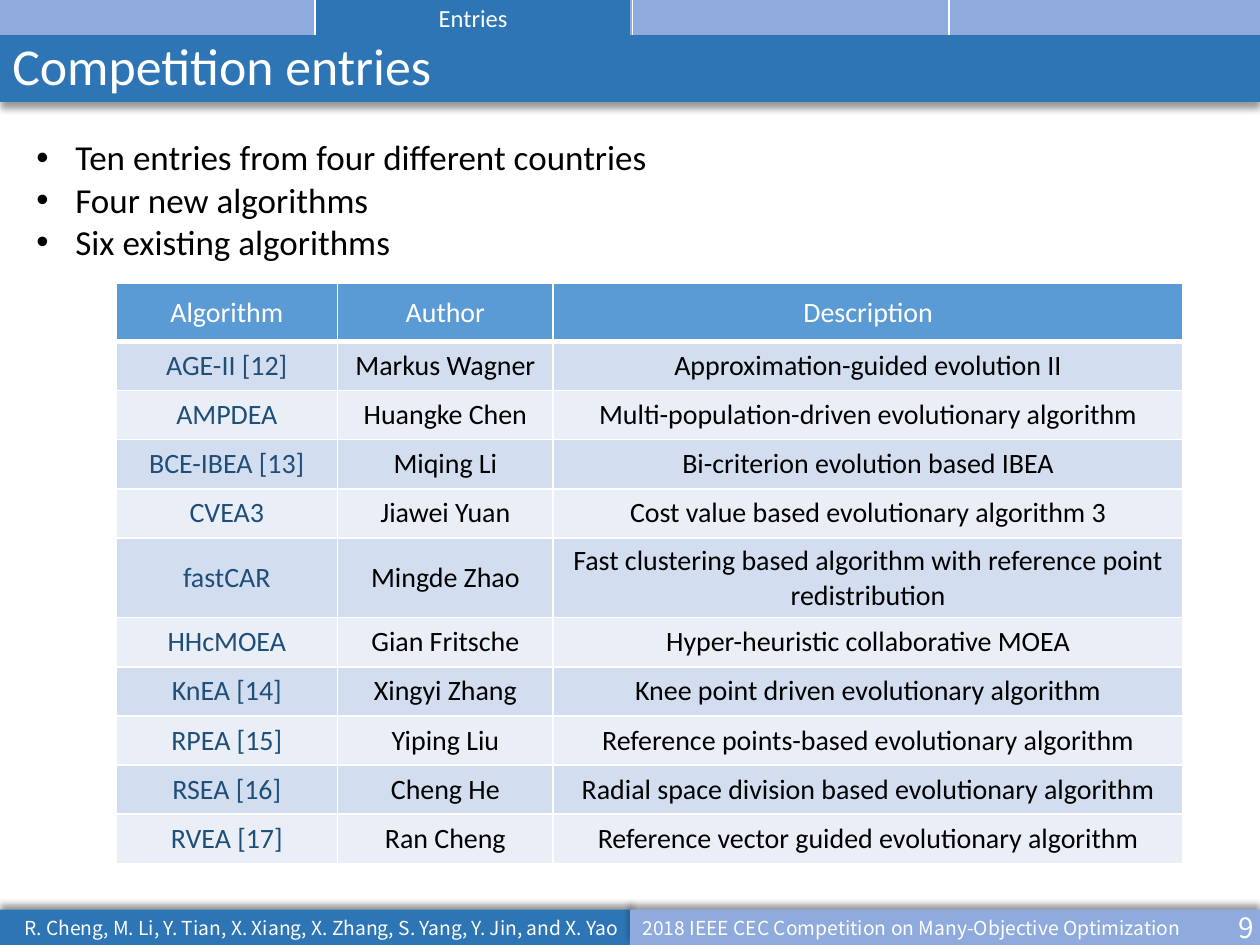
from dataclasses import dataclass

from lxml.etree import SubElement
from pptx import Presentation
from pptx.dml.color import RGBColor
from pptx.enum.shapes import MSO_CONNECTOR as Connector, MSO_SHAPE as Shape
from pptx.enum.text import MSO_ANCHOR as Anchor, PP_ALIGN as Align
from pptx.oxml.ns import qn
from pptx.util import Inches, Pt


@dataclass(frozen=True)
class Theme:
    white: str = "FFFFFF"
    black: str = "000000"
    dark_blue: str = "2E75B6"
    light_blue: str = "8FAADC"
    header_blue: str = "5B9BD5"
    algorithm_blue: str = "1F4E79"
    bands: tuple = ("D2DEEF", "EAEFF7")
    body_font: str = "Calibri"
    footer_font: str = "Noto Sans CJK SC"
    title_size: float = 29.6
    bullet_size: int = 20
    table_size: int = 16
    tab_size: int = 14
    footer_size: int = 11
    page_size: int = 16


THEME = Theme()

# Content
TITLE = "Competition entries"
TAB = "Entries"
AUTHORS = "R. Cheng, M. Li, Y. Tian, X. Xiang, X. Zhang, S. Yang, Y. Jin, and X. Yao"
EVENT = "2018 IEEE CEC Competition on Many-Objective Optimization"
PAGE = "9"
BULLETS = [
    "Ten entries from four different countries",
    "Four new algorithms",
    "Six existing algorithms",
]
HEADINGS = ("Algorithm", "Author", "Description")
ENTRIES = [
    ("AGE-II [12]", "Markus Wagner", "Approximation-guided evolution II"),
    ("AMPDEA", "Huangke Chen", "Multi-population-driven evolutionary algorithm"),
    ("BCE-IBEA [13]", "Miqing Li", "Bi-criterion evolution based IBEA"),
    ("CVEA3", "Jiawei Yuan", "Cost value based evolutionary algorithm 3"),
    ("fastCAR", "Mingde Zhao",
     "Fast clustering based algorithm with reference point redistribution"),
    ("HHcMOEA", "Gian Fritsche", "Hyper-heuristic collaborative MOEA"),
    ("KnEA [14]", "Xingyi Zhang", "Knee point driven evolutionary algorithm"),
    ("RPEA [15]", "Yiping Liu", "Reference points-based evolutionary algorithm"),
    ("RSEA [16]", "Cheng He", "Radial space division based evolutionary algorithm"),
    ("RVEA [17]", "Ran Cheng", "Reference vector guided evolutionary algorithm"),
]

# Layout, in inches
WIDTH, HEIGHT = 10, 7.5
STRIP = 0.28
TITLE_HEIGHT = 0.53
FOOTER_TOP = HEIGHT - STRIP
TAB_DIVIDERS = (2.5, 5.02, 7.53)
COLUMNS = (1.76, 1.71, 5)
HEADING_ROW, ENTRY_ROW = 0.46, 0.39


def rgb(color):
    return RGBColor.from_string(color)


def write(paragraph, words, size, color, font=THEME.body_font, align=Align.LEFT):
    paragraph.alignment = align
    run = paragraph.add_run()
    run.text = words
    run.font.name, run.font.size, run.font.bold = font, Pt(size), False
    run.font.color.rgb = rgb(color)


def add_bar(slide, left, top, width, height, color, shadow_angle=None):
    bar = slide.shapes.add_shape(
        Shape.RECTANGLE, Inches(left), Inches(top), Inches(width), Inches(height))
    bar.shadow.inherit = False
    bar.fill.solid()
    bar.fill.fore_color.rgb = rgb(color)
    bar.line.fill.background()
    bar.text_frame.vertical_anchor = Anchor.MIDDLE
    if shadow_angle is not None:
        effects = bar._element.spPr.find(qn("a:effectLst"))
        shadow = SubElement(
            effects, qn("a:outerShdw"), blurRad=str(Pt(4)), dist=str(Pt(3)),
            dir=str(shadow_angle * 60000), algn="ctr", rotWithShape="0")
        shade = SubElement(shadow, qn("a:srgbClr"), val=THEME.black)
        SubElement(shade, qn("a:alpha"), val="40000")
    return bar.text_frame


def add_text(slide, left, top, width, height, anchor=Anchor.TOP):
    frame = slide.shapes.add_textbox(
        Inches(left), Inches(top), Inches(width), Inches(height)).text_frame
    frame.word_wrap = True
    frame.vertical_anchor = anchor
    return frame


def add_divider(slide, x):
    divider = slide.shapes.add_connector(
        Connector.STRAIGHT, Inches(x), Inches(STRIP), Inches(x), 0)
    divider.line.color.rgb = rgb(THEME.white)
    divider.line.width = Pt(1)
    SubElement(divider._element.spPr, qn("a:effectLst"))


def style_cell(cell, words, fill, color, borders):
    cell.vertical_anchor = Anchor.MIDDLE
    properties = cell._tc.get_or_add_tcPr()
    for side, points in borders.items():
        edge = SubElement(properties, qn(f"a:ln{side}"), w=str(Pt(points)))
        paint = SubElement(edge, qn("a:solidFill"))
        SubElement(paint, qn("a:srgbClr"), val=THEME.white)
    cell.fill.solid()
    cell.fill.fore_color.rgb = rgb(fill)
    write(cell.text_frame.paragraphs[0], words, THEME.table_size, color,
          align=Align.CENTER)


def add_entries(slide):
    table = slide.shapes.add_table(
        len(ENTRIES) + 1, len(COLUMNS), Inches(0.92), Inches(2.25),
        Inches(sum(COLUMNS)),
        Inches(HEADING_ROW + ENTRY_ROW * len(ENTRIES))).table
    for column, width in zip(table.columns, COLUMNS):
        column.width = Inches(width)
    for row in table.rows:
        row.height = Inches(ENTRY_ROW)
    table.rows[0].height = Inches(HEADING_ROW)

    for c, heading in enumerate(HEADINGS):
        style_cell(table.cell(0, c), heading, THEME.header_blue, THEME.white,
                   {"L": 1, "R": 1, "T": 1, "B": 3})
    for r, entry in enumerate(ENTRIES):
        for c, words in enumerate(entry):
            color = THEME.black if c else THEME.algorithm_blue
            style_cell(table.cell(r + 1, c), words, THEME.bands[r % 2], color,
                       {"L": 1, "R": 1, "B": 1})


def add_bullets(slide):
    frame = add_text(slide, 0.19, 1.03, 8.4, 1.11)
    for i, words in enumerate(BULLETS):
        paragraph = frame.add_paragraph() if i else frame.paragraphs[0]
        write(paragraph, words, THEME.bullet_size, THEME.black)
        properties = paragraph._p.get_or_add_pPr()
        properties.set("marL", str(Inches(0.31)))
        properties.set("indent", str(Inches(-0.31)))
        SubElement(properties, qn("a:buFont"), typeface="Arial")
        SubElement(properties, qn("a:buChar"), char="•")


def main():
    deck = Presentation()
    deck.slide_width, deck.slide_height = Inches(WIDTH), Inches(HEIGHT)
    slide = deck.slides.add_slide(deck.slide_layouts[6])

    # Header and footer bars
    add_bar(slide, 0, 0, WIDTH, STRIP, THEME.light_blue)
    add_bar(slide, 0, STRIP, WIDTH, TITLE_HEIGHT, THEME.dark_blue, 90)
    authors = add_bar(slide, 0, FOOTER_TOP, 5.01, STRIP, THEME.dark_blue, 270)
    event = add_bar(slide, 5, FOOTER_TOP, 5, STRIP, THEME.light_blue, 270)
    page = add_text(slide, 9.45, 7.18, 0.6, 0.37)
    for frame, words, size, align in (
            (authors, AUTHORS, THEME.footer_size, Align.RIGHT),
            (event, EVENT, THEME.footer_size, Align.LEFT),
            (page, PAGE, THEME.page_size, Align.RIGHT)):
        write(frame.paragraphs[0], words, size, THEME.white, THEME.footer_font, align)

    # Section tabs
    for x in TAB_DIVIDERS:
        add_divider(slide, x)
    tab = add_bar(slide, 2.51, 0, 2.49, STRIP, THEME.dark_blue)
    write(tab.paragraphs[0], TAB, THEME.tab_size, THEME.white, align=Align.CENTER)

    # Title
    title = add_text(slide, 0, STRIP, WIDTH, TITLE_HEIGHT, Anchor.BOTTOM).paragraphs[0]
    title.line_spacing, title.space_before = 0.8, Pt(10)
    write(title, TITLE, THEME.title_size, THEME.white)

    # Body
    add_entries(slide)
    add_bullets(slide)
    deck.save("out.pptx")


if __name__ == "__main__":
    main()
